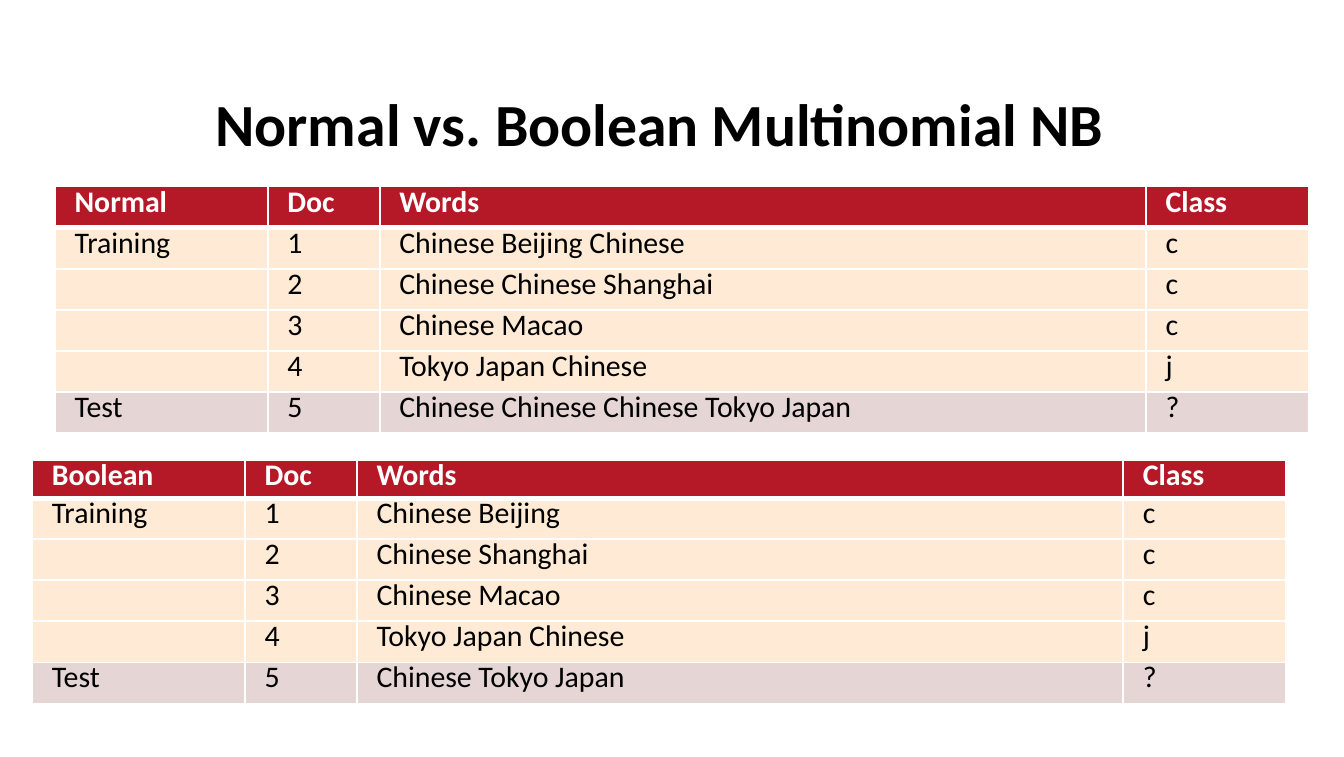
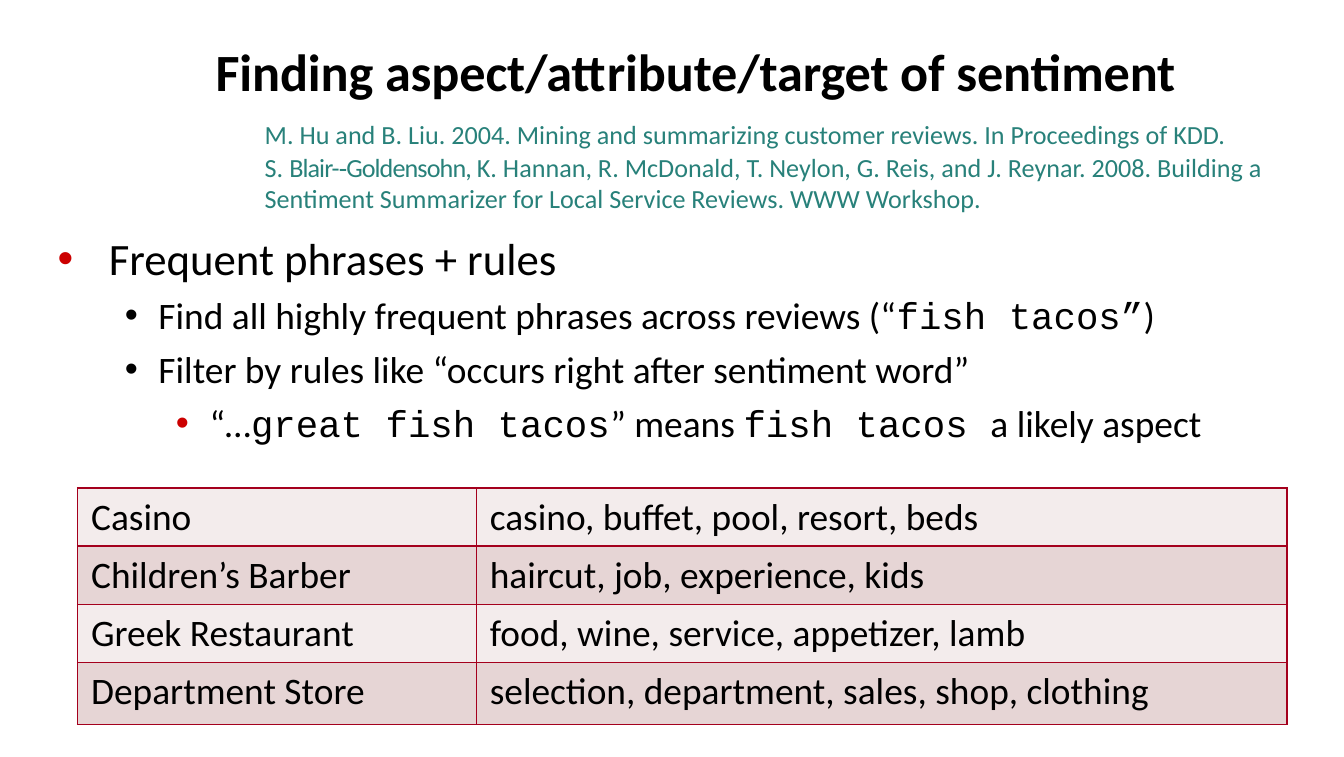
from lxml.etree import SubElement
from pptx import Presentation
from pptx.dml.color import RGBColor
from pptx.enum.text import MSO_ANCHOR, MSO_AUTO_SIZE, PP_ALIGN
from pptx.oxml.ns import qn
from pptx.util import Pt

HUES = {"ink": "000000", "white": "FFFFFF", "head": "B51826", "train": "FFEBD5",
        "rose": "E6D5D5", "pale": "F3ECEC", "rule": "A4001D", "cite": "28817A",
        "dot": "CC0000"}
SANS, MONO = "Calibri", "Courier New"


def style(par, size, hue="ink", bold=False):
    for run in par.runs:
        run.font.name = SANS
        run.font.size = Pt(size)
        run.font.bold = bold
        run.font.color.rgb = RGBColor.from_string(HUES[hue])


def grid(slide, spot, rows, cols, highs, look):
    left, top = spot
    frame = slide.shapes.add_table(len(rows), len(cols), Pt(left), Pt(top),
                                   Pt(sum(cols)), Pt(sum(highs)))
    table = frame.table
    table.first_row = table.horz_banding = False
    for col, wide in zip(table.columns, cols):
        col.width = Pt(wide)
    for i, row in enumerate(rows):
        table.rows[i].height = Pt(highs[i])
        head = look["head"] and i == 0
        for j, text in enumerate(row):
            cell = table.cell(i, j)
            cell.margin_left = Pt(look["pad"])
            cell.margin_top = Pt(look["top"])
            cell.margin_right = cell.margin_bottom = 0
            par = cell.text_frame.paragraphs[0]
            if text:
                par.text = text
            par.line_spacing = look["line"]
            style(par, look["size"], "white" if head else "ink", head)
            for side in ("lnL", "lnR", "lnT", "lnB"):
                thick = look["head"] and (i, side) in ((0, "lnB"), (1, "lnT"))
                line = SubElement(cell._tc.get_or_add_tcPr(), qn("a:" + side),
                                  w=str(Pt(3 if thick else 1)))
                fill = SubElement(line, qn("a:solidFill"))
                SubElement(fill, qn("a:srgbClr"), val=HUES[look["edge"]])
            cell.fill.solid()
            cell.fill.fore_color.rgb = RGBColor.from_string(HUES[look["fills"][i]])


deck = Presentation()
deck.slide_width, deck.slide_height = Pt(720), Pt(405.36)

heads = [
    (5, "Normal vs. Boolean Multinomial NB", 32, (114.5, 45.4, 478.8, 40.3)),
    (1, "Finding aspect/attribute/target of sentiment", 28, (114.5, 20.2, 521.3, 35.3)),
]
slides = []
for kind, text, size, box in heads:
    slide = deck.slides.add_slide(deck.slide_layouts[kind])
    slides.append(slide)
    title = slide.shapes.title
    title.left, title.top, title.width, title.height = map(Pt, box)
    frame = title.text_frame
    frame.text = text
    frame.auto_size = MSO_AUTO_SIZE.NONE
    frame.vertical_anchor = MSO_ANCHOR.TOP
    frame.margin_right = frame.margin_bottom = 0
    frame.margin_left = frame.margin_top = Pt(1)
    par = frame.paragraphs[0]
    par.alignment = PP_ALIGN.LEFT
    style(par, size, bold=True)
    par.runs[0].font._element.set("spc", "-5")

plain = {"head": True, "pad": 10.5, "top": 0, "line": Pt(18), "size": 16,
         "edge": "white", "fills": ["head"] + ["train"] * 4 + ["rose"]}
sets = [
    ("Normal", (29.5, 99.9), 22, [
        "Chinese Beijing Chinese", "Chinese Chinese Shanghai", "Chinese Macao",
        "Tokyo Japan Chinese", "Chinese Chinese Chinese Tokyo Japan"]),
    ("Boolean", (17.3, 246.2), 20.5, [
        "Chinese Beijing", "Chinese Shanghai", "Chinese Macao",
        "Tokyo Japan Chinese", "Chinese Tokyo Japan"]),
]
parts = ["Training", "", "", "", "Test"]
for name, spot, high, words in sets:
    rows = [(name, "Doc", "Words", "Class")]
    for n, (part, text, mark) in enumerate(zip(parts, words, "cccj?"), 1):
        rows.append((part, str(n), text, mark))
    grid(slides[0], spot, rows, [114, 60, 410.5, 87.2], [high] + [22] * 5, plain)

body = slides[1].placeholders[1]
body.left, body.top, body.width, body.height = map(Pt, (30.2, 62.6, 657.4, 177.1))
frame = body.text_frame
frame.auto_size = MSO_AUTO_SIZE.NONE
frame.margin_left = frame.margin_right = frame.margin_bottom = 0
frame.margin_top = Pt(1)

cite = {"level": 0, "left": 111.6, "hang": 0, "size": 14, "hue": "cite", "dot": None}
main = {"level": 0, "left": 28.1, "hang": -27.4, "size": 24, "hue": "ink", "dot": "dot"}
sub = {"level": 1, "left": 54.7, "hang": -18, "size": 20, "hue": "ink", "dot": "ink"}
deep = {"level": 2, "left": 82.1, "hang": -18, "size": 20, "hue": "ink", "dot": "dot"}
items = [
    (cite, 0, 16.7, [("M. Hu and B. Liu. 2004. Mining and summarizing customer reviews. "
                      "In Proceedings of KDD.", "")]),
    (cite, 0.3, 17, [("S. ", ""), ("Blair-‐Goldensohn, ", "tight"),
                     ("K. Hannan, R. McDonald, T. Neylon, G. Reis, and J. Reynar. 2008. "
                      "Building a Sentiment Summarizer for Local Service Reviews. "
                      "WWW Workshop.", "")]),
    (main, 9.1, 0, [("Frequent phrases + rules", "")]),
    (sub, 4, 0, [("Find all highly frequent phrases across reviews (“", ""),
                 ("fish tacos”", "mono"), (")", "")]),
    (sub, 5, 0, [("Filter by rules like “occurs right after sentiment word”", "")]),
    (deep, 5, 0, [("“…", ""), ("great fish tacos", "mono"), ("” means ", ""),
                  ("fish tacos ", "mono"), ("a likely aspect", "")]),
]
for n, (look, gap, line, texts) in enumerate(items):
    par = frame.add_paragraph() if n else frame.paragraphs[0]
    par.level = look["level"]
    props = par._p.get_or_add_pPr()
    props.set("marL", str(Pt(look["left"])))
    props.set("indent", str(Pt(look["hang"])))
    if look["dot"]:
        tint = SubElement(props, qn("a:buClr"))
        SubElement(tint, qn("a:srgbClr"), val=HUES[look["dot"]])
        SubElement(props, qn("a:buChar"), char="•")
    else:
        SubElement(props, qn("a:buNone"))
    par.space_before = Pt(gap)
    par.line_spacing = Pt(line) if line else 1.0
    for text, mode in texts:
        par.add_run().text = text
    style(par, look["size"], look["hue"])
    for run, (text, mode) in zip(par.runs, texts):
        if mode == "mono":
            run.font.name = MONO
        elif mode == "tight":
            run.font._element.set("spc", "-50")

lined = {"head": False, "pad": 7.2, "top": 3.6, "line": 1.0, "size": 20,
         "edge": "rule", "fills": ["pale", "rose"] * 2}
kinds = [
    ("Casino", "casino, buﬀet, pool, resort, beds"),
    ("Children’s Barber", "haircut, job, experience, kids"),
    ("Greek Restaurant", "food, wine, service, appetizer, lamb"),
    ("Department Store", "selection, department, sales, shop, clothing"),
]
grid(slides[1], (41.6, 261.4), kinds, [213.6, 434.4], [31.1] * 3 + [33.2], lined)

deck.save("out.pptx")
